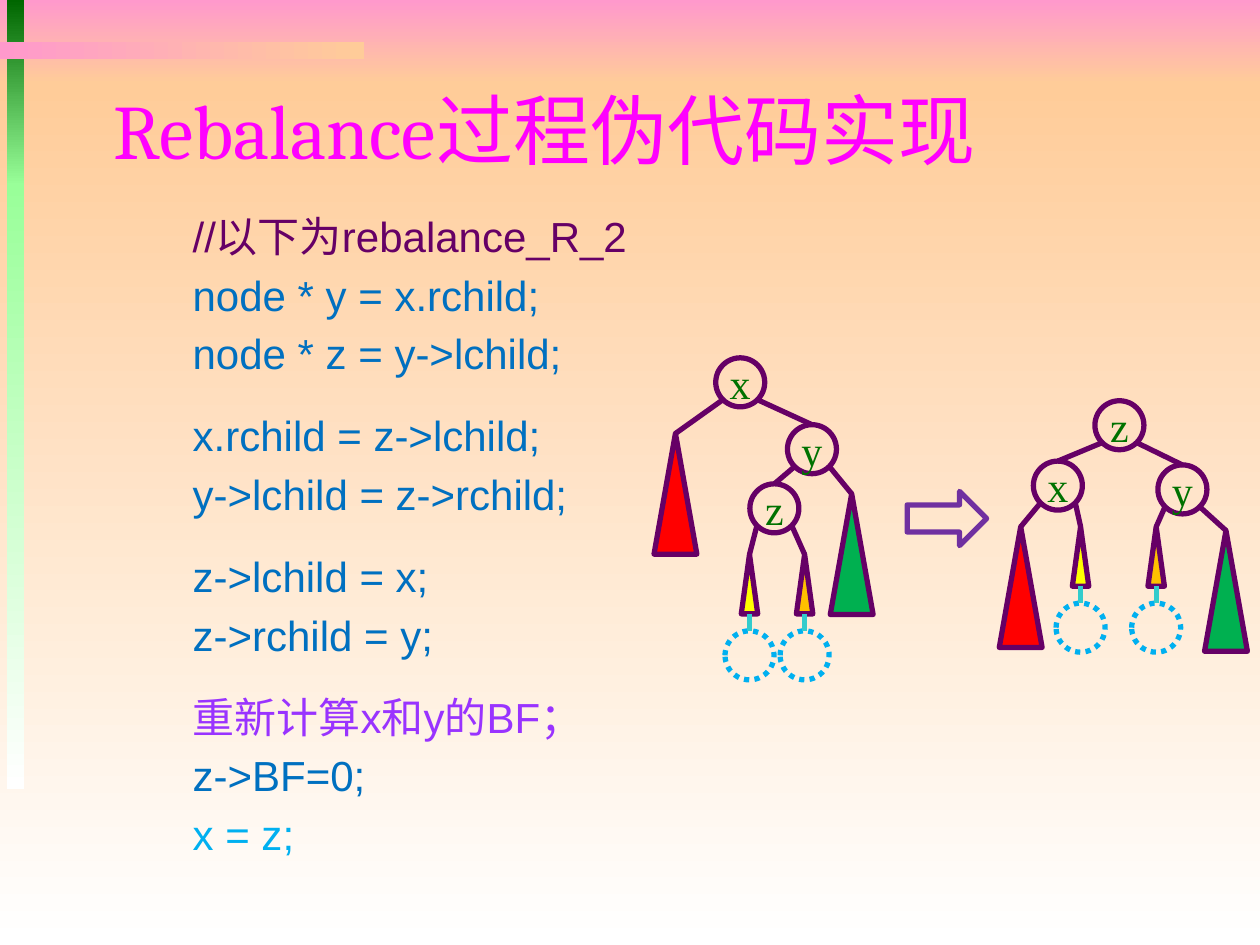
from dataclasses import dataclass
from typing import Union

from lxml.etree import SubElement
from pptx import Presentation
from pptx.dml.color import RGBColor
from pptx.enum.dml import MSO_LINE
from pptx.enum.shapes import MSO_CONNECTOR, MSO_SHAPE
from pptx.enum.text import MSO_ANCHOR, MSO_AUTO_SIZE, PP_ALIGN
from pptx.oxml.ns import qn
from pptx.util import Pt


@dataclass(frozen=True)
class Theme:
    pink: str = "FF99CC"
    peach: str = "FFCC99"
    white: str = "FFFFFF"
    dark_green: str = "006600"
    light_green: str = "99FF99"
    title: str = "FF00FF"
    comment: str = "660066"
    code: str = "0070C0"
    remark: str = "9933FF"
    result: str = "00B0F0"
    outline: str = "660066"
    label: str = "007200"
    slot: str = "00B0F0"
    slot_link: str = "33CCCC"
    arrow: str = "7030A0"
    red: str = "FF0000"
    yellow: str = "FFFF00"
    orange: str = "FFC000"
    green: str = "00B050"
    title_font: str = "Cambria"
    code_font: str = "Arial"
    label_font: str = "Times New Roman"
    title_size: int = 44
    text_size: int = 24
    line_width: int = 3


@dataclass
class Subtree:
    """A triangle whose apex is at x, y; a narrow one carries a dotted slot."""
    color: str
    x: float
    y: float
    narrow: bool = False

    @property
    def top(self):
        return self.y


@dataclass
class Node:
    """A circle centred at x, y with two children."""
    label: str
    x: float
    y: float
    left: Union["Node", Subtree]
    right: Union["Node", Subtree]

    @property
    def top(self):
        return self.y - NODE_SIZE / 2


THEME = Theme()
NODE_SIZE = 28
EDGE_OFFSET = 10
WIDE, NARROW = (24.5, 69), (9.4, 34)
SLOT_GAP = 9.7
LINE_PITCH, LINE_GAP, BLOCK_GAP = 28.8, 4.8, 18

CODE_BLOCKS = [
    [("//以下为rebalance_R_2", THEME.comment),
     ("node * y = x.rchild;", THEME.code),
     ("node * z = y->lchild;", THEME.code)],
    [("x.rchild = z->lchild;", THEME.code),
     ("y->lchild = z->rchild;", THEME.code)],
    [("z->lchild = x;", THEME.code),
     ("z->rchild = y;", THEME.code)],
    [("重新计算x和y的BF；", THEME.remark),
     ("z->BF=0;", THEME.code),
     ("x = z;", THEME.result)],
]

TREE_BEFORE = Node(
    "x", 423, 218.5,
    Subtree(THEME.red, 386, 247.7),
    Node("y", 464, 256.7,
         Node("z", 442.5, 290.5,
              Subtree(THEME.yellow, 428.3, 316.8, narrow=True),
              Subtree(THEME.orange, 459.8, 316.8, narrow=True)),
         Subtree(THEME.green, 486.7, 282.2)))

TREE_AFTER = Node(
    "z", 639.7, 243,
    Node("x", 604.5, 277.5,
         Subtree(THEME.red, 583.3, 301),
         Subtree(THEME.yellow, 617.5, 301, narrow=True)),
    Node("y", 675.7, 279.7,
         Subtree(THEME.orange, 660.7, 301, narrow=True),
         Subtree(THEME.green, 700.6, 303.2)))


class SlideBuilder:
    def __init__(self, slide, theme):
        self.slide = slide
        self.theme = theme

    def style_text(self, paragraph, font, size, color):
        for run in paragraph.runs:
            run.font.name = font
            run.font.size = Pt(size)
            run.font.color.rgb = RGBColor.from_string(color)

    def gradient_bar(self, left, top, width, height, start, end, angle=270):
        bar = self.slide.shapes.add_shape(
            MSO_SHAPE.RECTANGLE, Pt(left), Pt(top), Pt(width), Pt(height))
        bar.shadow.inherit = False
        bar.line.fill.background()
        bar.fill.gradient()
        bar.fill.gradient_angle = angle
        for stop, color in zip(bar.fill.gradient_stops, (start, end)):
            stop.color.rgb = RGBColor.from_string(color)
        for stop, position in zip(bar.fill.gradient_stops, (0, 1)):
            stop.position = position

    def title(self, text, left, top, width, height):
        title = self.slide.shapes.title
        title.left, title.top = Pt(left), Pt(top)
        title.width, title.height = Pt(width), Pt(height)
        frame = title.text_frame
        frame.text = text
        frame.auto_size = MSO_AUTO_SIZE.NONE
        frame.vertical_anchor = MSO_ANCHOR.MIDDLE
        paragraph = frame.paragraphs[0]
        paragraph.alignment = PP_ALIGN.LEFT
        self.style_text(paragraph, self.theme.title_font,
                        self.theme.title_size, self.theme.title)
        # The title belongs in front of the background bars.
        self.slide.shapes.element.append(title.element)

    def code(self, blocks, left, top, width, height):
        box = self.slide.shapes.add_textbox(Pt(left), Pt(top), Pt(width), Pt(height))
        frame = box.text_frame
        frame.word_wrap = True
        lines = [(text, color, LINE_GAP if index else BLOCK_GAP)
                 for block in blocks for index, (text, color) in enumerate(block)]
        for index, (text, color, gap) in enumerate(lines):
            paragraph = frame.add_paragraph() if index else frame.paragraphs[0]
            paragraph.text = text
            paragraph.line_spacing = Pt(LINE_PITCH)
            paragraph.space_before = Pt(gap if index else 0)
            self.style_text(paragraph, self.theme.code_font, self.theme.text_size, color)

    def outlined(self, shapes, kind, left, top, width, height, line, fill=None):
        shape = shapes.add_shape(kind, Pt(left), Pt(top), Pt(width), Pt(height))
        shape.shadow.inherit = False
        shape.line.color.rgb = RGBColor.from_string(line)
        shape.line.width = Pt(self.theme.line_width)
        if fill:
            shape.fill.solid()
            shape.fill.fore_color.rgb = RGBColor.from_string(fill)
        else:
            shape.fill.background()
        return shape

    def link(self, shapes, start, end, color):
        line = shapes.add_connector(
            MSO_CONNECTOR.STRAIGHT, *(Pt(value) for value in (*start, *end)))
        line.line.color.rgb = RGBColor.from_string(color)
        line.line.width = Pt(self.theme.line_width)
        SubElement(line.element.spPr, qn("a:effectLst"))

    def circle(self, shapes, x, top, line):
        return self.outlined(shapes, MSO_SHAPE.OVAL, x - NODE_SIZE / 2, top,
                             NODE_SIZE, NODE_SIZE, line)

    def subtree(self, shapes, subtree):
        width, height = NARROW if subtree.narrow else WIDE
        self.outlined(shapes, MSO_SHAPE.ISOSCELES_TRIANGLE, subtree.x - width / 2,
                      subtree.y, width, height, self.theme.outline, subtree.color)
        if subtree.narrow:
            bottom = subtree.y + height
            slot_top = bottom + SLOT_GAP
            slot = self.circle(shapes, subtree.x, slot_top, self.theme.slot)
            slot.line.dash_style = MSO_LINE.ROUND_DOT
            self.link(shapes, (subtree.x, slot_top), (subtree.x, bottom),
                      self.theme.slot_link)

    def tree(self, shapes, node):
        """Draw a node, its edges and everything below it."""
        if isinstance(node, Subtree):
            self.subtree(shapes, node)
            return
        frame = self.circle(shapes, node.x, node.top, self.theme.outline).text_frame
        frame.margin_left = frame.margin_right = frame.margin_top = frame.margin_bottom = 0
        frame.word_wrap = False
        frame.vertical_anchor = MSO_ANCHOR.MIDDLE
        frame.text = node.label
        frame.paragraphs[0].alignment = PP_ALIGN.CENTER
        self.style_text(frame.paragraphs[0], self.theme.label_font,
                        self.theme.text_size, self.theme.label)
        for child, side in ((node.left, -1), (node.right, 1)):
            self.tree(shapes, child)
            self.link(shapes, (child.x, child.top),
                      (node.x + side * EDGE_OFFSET, node.y + EDGE_OFFSET),
                      self.theme.outline)


def main():
    presentation = Presentation()
    presentation.slide_width, presentation.slide_height = Pt(720), Pt(540)
    slide = presentation.slides.add_slide(presentation.slide_layouts[5])
    builder = SlideBuilder(slide, THEME)

    builder.gradient_bar(0, 0, 720, 48, THEME.pink, THEME.peach)
    builder.gradient_bar(0, 48, 720, 492, THEME.peach, THEME.white)
    builder.gradient_bar(4, 0, 10, 106, THEME.dark_green, THEME.light_green)
    builder.gradient_bar(4, 105, 10, 346, THEME.light_green, THEME.white)
    builder.gradient_bar(0, 24, 208, 10, THEME.pink, THEME.peach, angle=0)

    builder.title("Rebalance过程伪代码实现", 57.6, 41, 612, 65)
    builder.code(CODE_BLOCKS, 103, 116.6, 326, 389)
    for root in (TREE_BEFORE, TREE_AFTER):
        builder.tree(slide.shapes.add_group_shape().shapes, root)
    builder.outlined(slide.shapes, MSO_SHAPE.RIGHT_ARROW, 518.4, 280.8, 45.4, 31,
                     THEME.arrow)
    presentation.save("out.pptx")


if __name__ == "__main__":
    main()
